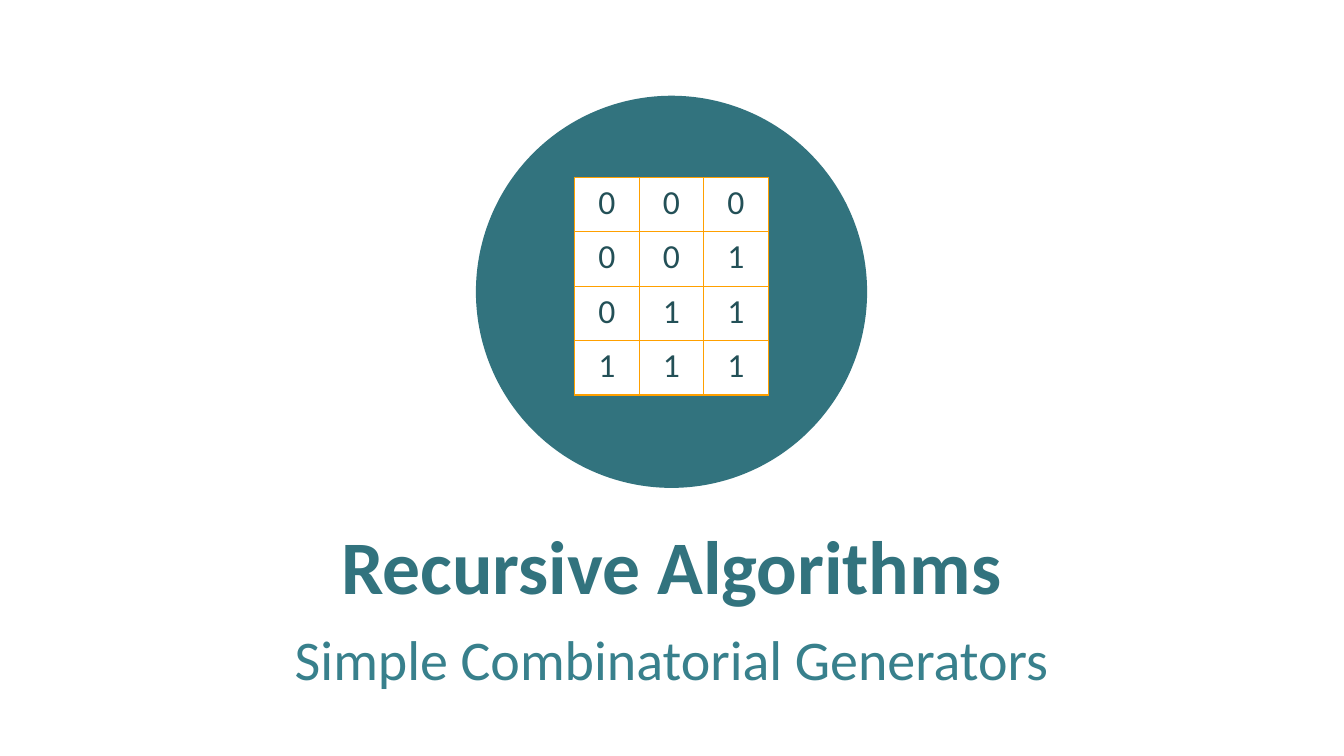
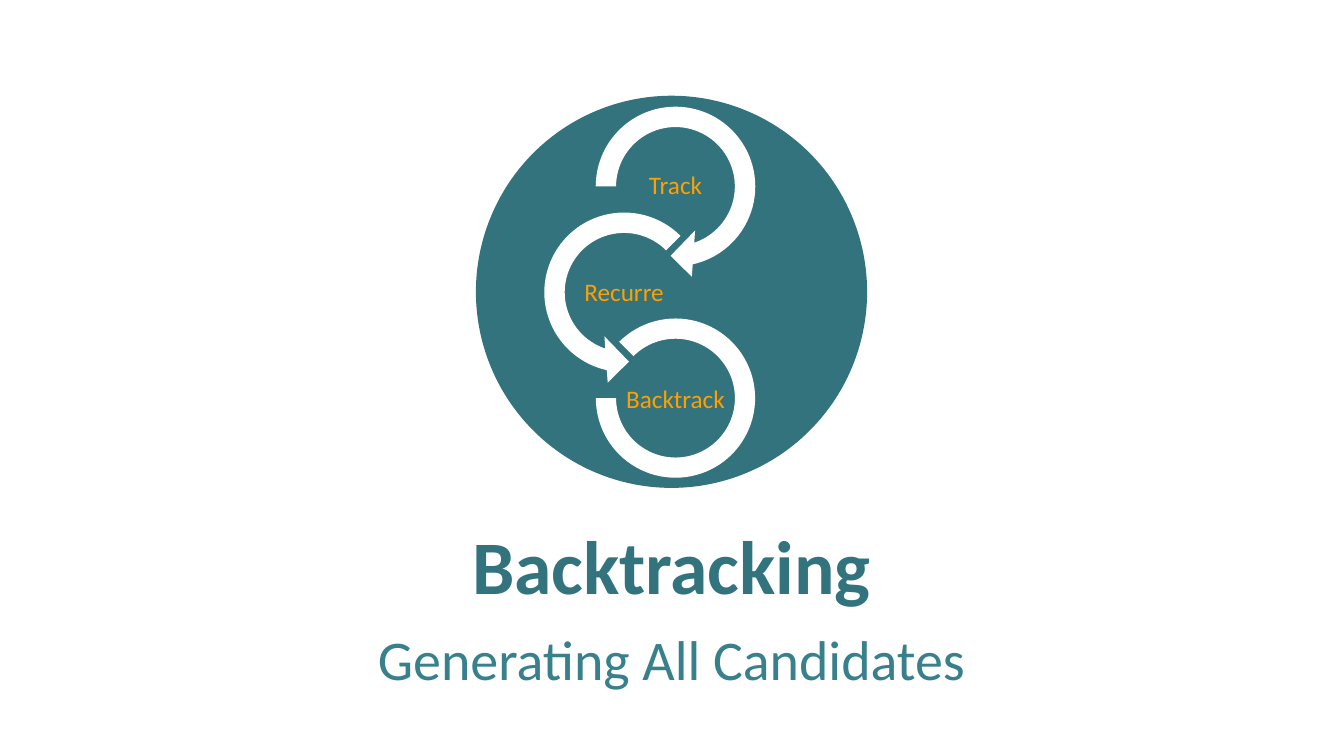
from dataclasses import dataclass

from lxml import etree
from pptx import Presentation
from pptx.dml.color import RGBColor
from pptx.enum.shapes import MSO_SHAPE
from pptx.enum.text import MSO_ANCHOR, MSO_AUTO_SIZE, PP_ALIGN
from pptx.oxml.ns import qn
from pptx.util import Inches, Pt

CENTER = PP_ALIGN.CENTER
MIDDLE = MSO_ANCHOR.MIDDLE
NO_AUTOFIT = MSO_AUTO_SIZE.NONE
OVAL = MSO_SHAPE.OVAL
RIGHT_TURN = MSO_SHAPE.CIRCULAR_ARROW
LEFT_TURN = MSO_SHAPE.LEFT_CIRCULAR_ARROW
ARC = MSO_SHAPE.BLOCK_ARC


@dataclass(frozen=True)
class Theme:
    font: str = "Calibri"
    teal: str = "32737E"
    light_teal: str = "38808C"
    dark_teal: str = "235057"
    orange: str = "FFA000"
    white: str = "FFFFFF"
    title_size: int = 54
    subtitle_size: int = 40
    cell_size: int = 24
    label_size: int = 18
    border_width: int = 1


@dataclass(frozen=True)
class Box:
    left: float
    top: float
    width: float
    height: float

    def lengths(self):
        return [Inches(n) for n in (self.left, self.top, self.width, self.height)]

    def centered(self, x, y, width, height):
        return Box(self.left + x - width / 2, self.top + y - height / 2, width, height)


THEME = Theme()
CIRCLE = Box(4.72, 0.95, 3.88, 3.89)
TITLE = Box(0.67, 5.17, 11.98, 0.85)
SUBTITLE = Box(0.67, 6.11, 11.98, 0.8)

BIT_ROWS = ["000", "001", "011", "111"]
CYCLE_STAGES = [
    ("Track", RIGHT_TURN, 1.98, 1.84, (0.11, 11.42, 45, 108, 0.125)),
    ("Recurre", LEFT_TURN, 1.47, 1.84, (0.11, 11.42, 63, 189, 0.125)),
    ("Backtrack", ARC, 1.98, 1.58, (135, 108, 0.127)),
]


def write_text(frame, text, size, color, bold=False):
    paragraph = frame.paragraphs[0]
    paragraph.alignment = CENTER
    run = paragraph.add_run()
    run.text = text
    run.font.name = THEME.font
    run.font.size = Pt(size)
    run.font.bold = bold
    run.font.color.rgb = RGBColor.from_string(color)
    return paragraph


def set_frame(frame, side_margin, end_margin):
    frame.word_wrap = True
    frame.auto_size = NO_AUTOFIT
    frame.vertical_anchor = MIDDLE
    frame.margin_left = frame.margin_right = Inches(side_margin)
    frame.margin_top = frame.margin_bottom = Inches(end_margin)


def add_plain_shape(shapes, kind, box, color):
    shape = shapes.add_shape(kind, *box.lengths())
    shape.shadow.inherit = False
    shape.fill.solid()
    shape.fill.fore_color.rgb = RGBColor.from_string(color)
    shape.line.fill.background()
    return shape


def prepare_layout(layout):
    for placeholder, box in zip(layout.placeholders, (TITLE, SUBTITLE)):
        placeholder.left, placeholder.top, placeholder.width, placeholder.height = box.lengths()


def add_section_slide(presentation, title, subtitle):
    slide = presentation.slides.add_slide(presentation.slide_layouts[0])
    add_plain_shape(slide.shapes, OVAL, CIRCLE, THEME.teal)

    title_frame = slide.shapes.title.text_frame
    set_frame(title_frame, 0.12, 0.04)
    write_text(title_frame, title, THEME.title_size, THEME.teal, bold=True)

    subtitle_frame = slide.placeholders[1].text_frame
    set_frame(subtitle_frame, 0.12, 0.04)
    paragraph = write_text(subtitle_frame, subtitle, THEME.subtitle_size, THEME.light_teal)
    paragraph.line_spacing = 1.05
    paragraph.space_before = Pt(0)
    return slide


def set_cell_borders(cell):
    properties = cell._tc.get_or_add_tcPr()
    for side in ("a:lnL", "a:lnR", "a:lnT", "a:lnB"):
        line = etree.SubElement(properties, qn(side), w=str(Pt(THEME.border_width)))
        fill = etree.SubElement(line, qn("a:solidFill"))
        etree.SubElement(fill, qn("a:srgbClr"), val=THEME.orange)


def add_bit_table(slide, circle):
    box = Box(circle.left + 0.98, circle.top + 0.81, 1.92, 2.16)
    frame = slide.shapes.add_table(len(BIT_ROWS), len(BIT_ROWS[0]), *box.lengths())
    table = frame.table
    table.first_row = False
    table.horz_banding = False
    for row, bits in zip(table.rows, BIT_ROWS):
        for cell, bit in zip(row.cells, bits):
            set_cell_borders(cell)
            cell.fill.solid()
            cell.fill.fore_color.rgb = RGBColor.from_string(THEME.white)
            write_text(cell.text_frame, bit, THEME.cell_size, THEME.dark_teal)


def add_cycle(slide, circle):
    group = slide.shapes.add_group_shape()
    for index, (label, kind, x, size, adjustments) in enumerate(CYCLE_STAGES):
        ring_box = circle.centered(x, 0.9 + 1.05 * index, size, size)
        ring = add_plain_shape(group.shapes, kind, ring_box, THEME.white)
        for position, value in enumerate(adjustments):
            ring.adjustments[position] = value

        label_box = circle.centered(x, 0.9 + 1.06 * index, 1.02, 0.51)
        text_box = group.shapes.add_textbox(*label_box.lengths())
        set_frame(text_box.text_frame, 0.01, 0.01)
        paragraph = write_text(text_box.text_frame, label, THEME.label_size, THEME.orange)
        paragraph.line_spacing = 0.9


def main():
    presentation = Presentation()
    presentation.slide_width = Inches(13.33)
    presentation.slide_height = Inches(7.5)
    prepare_layout(presentation.slide_layouts[0])

    recursion = add_section_slide(
        presentation, "Recursive Algorithms", "Simple Combinatorial Generators")
    add_bit_table(recursion, CIRCLE)

    backtracking = add_section_slide(
        presentation, "Backtracking", "Generating All Candidates")
    add_cycle(backtracking, CIRCLE)

    presentation.save("out.pptx")


if __name__ == "__main__":
    main()
